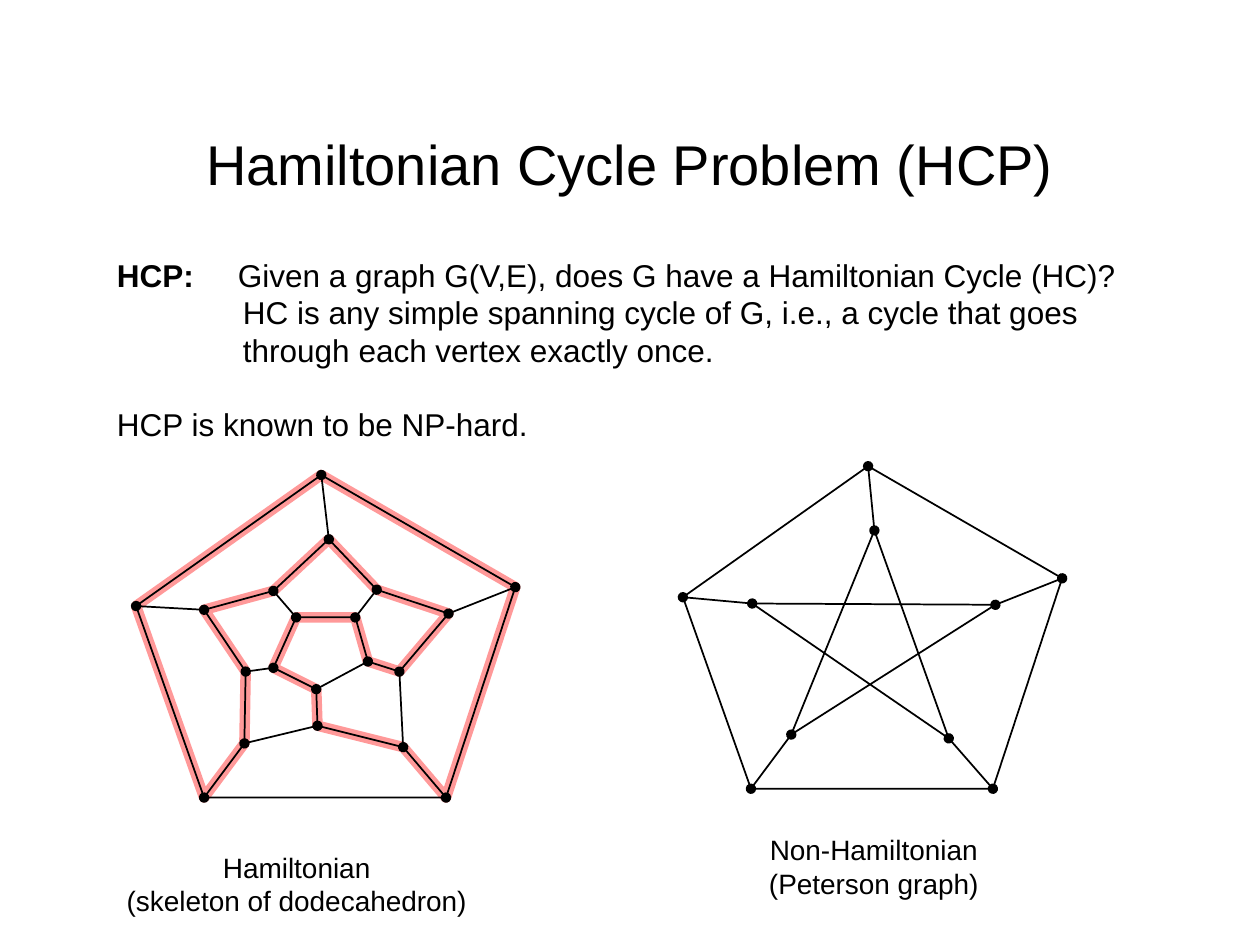
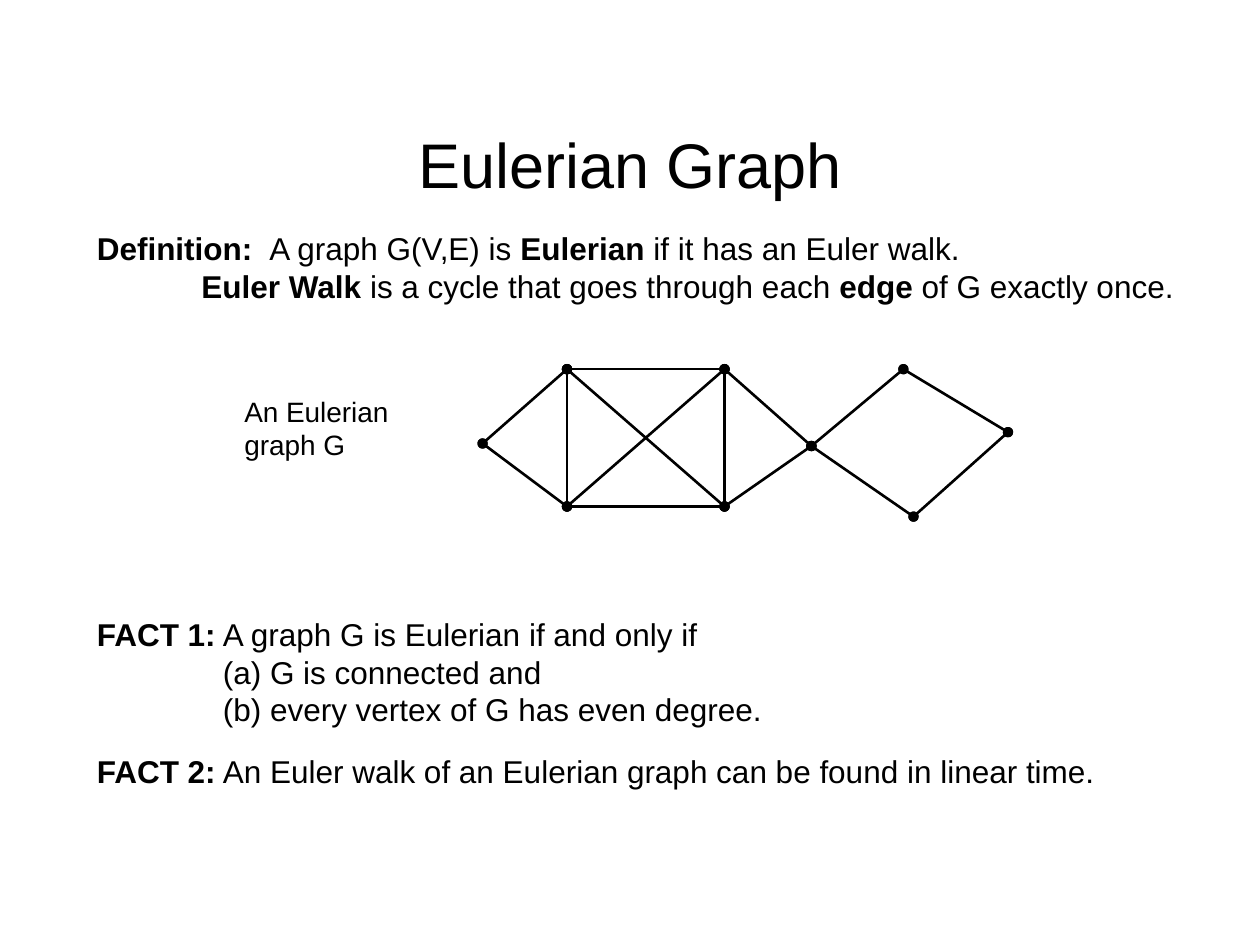
from lxml.etree import SubElement
from pptx import Presentation
from pptx.dml.color import RGBColor
from pptx.enum.shapes import MSO_CONNECTOR as Connector
from pptx.enum.text import MSO_ANCHOR as Anchor, MSO_AUTO_SIZE as AutoSize, PP_ALIGN as Align
from pptx.oxml.ns import qn
from pptx.util import Pt

PX = 9144  # EMU in one px, 100 px to the inch
SLIDE_SIZE = (1000, 750)
BLACK = RGBColor(0x00, 0x00, 0x00)
PINK = RGBColor(0xFF, 0x99, 0x99)
FONT = "Arial"
TITLE_BOX = (75, 67, 850, 125)
BODY_SIZE, CAPTION_SIZE = 18, 16
BLANK_LINE = 20.7

# Paragraphs are (text, left margin, first-line indent, points before); **bold**.
HCP_TEXT = [
    ("**HCP:**\tGiven a graph G(V,E), does G have a Hamiltonian Cycle (HC)?", 96, -96, 0),
    ("HC is any simple spanning cycle of G, i.e., a cycle that goes", 100, 0, 0),
    ("through each vertex exactly once.", 100, 0, 0),
    ("HCP is known to be NP-hard.", 0, 0, BLANK_LINE),
]
DEFINITION = [
    ("**Definition:**\tA graph G(V,E) is **Eulerian** if it has an Euler walk.", 137, -137, 0),
    ("**Euler Walk** is a cycle that goes through each **edge** of G exactly once.", 83, 0, 0),
]
FACT_1 = [
    ("**FACT 1:** A graph G is Eulerian if and only if", 0, 0, 0),
    ("(a) G is connected and", 100, 0, 0),
    ("(b) every vertex of G has even degree.", 100, 0, 0),
]
FACT_2 = [("**FACT 2:** An Euler walk of an Eulerian graph can be found in linear time.", 0, 0, 0)]

# Vertices run clockwise from the top.
OUTER = [(255, 377), (409, 466), (354, 633), (162, 633), (108, 481)]
RING = [(261, 428), (299, 468), (356, 487), (317, 533), (320, 593),
        (252, 576), (194, 590), (195, 533), (162, 484), (217, 469)]
CORE = [(282, 490), (292, 525), (251, 547), (217, 530), (235, 490)]
HAMILTONIAN_CYCLE = [
    (OUTER, (4, 0, 1, 2)), (RING, (4, 5)), (CORE, (2, 3, 4, 0, 1)),
    (RING, (3, 2, 1, 0, 9, 8, 7, 6)), (OUTER, (3,)),
]
PETERSON_SHIFT = (434, -7)
STAR = [(694, 421), (790, 480), (753, 586), (628, 583), (597, 479)]

EULER_VERTICES = {
    "west": (383, 352), "top left": (450, 293), "top right": (575, 293),
    "bottom left": (450, 402), "bottom right": (575, 402), "hub": (644, 354),
    "north": (717, 293), "east": (800, 343), "south": (725, 410),
}
EULER_WALK = ["west", "top left", "top right", "hub", "north", "east", "south", "hub",
              "bottom right", "top right", "bottom left", "top left",
              "bottom right", "bottom left", "west"]


def emu(*lengths):
    return [round(length * PX) for length in lengths]


def set_values(target, **values):
    for name, value in values.items():
        setattr(target, name, value)


def set_font(font, size, bold=False):
    set_values(font, name=FONT, size=Pt(size), bold=bold)
    font.color.rgb = BLACK


def add_titled_slide(presentation, title, size):
    slide = presentation.slides.add_slide(presentation.slide_layouts[5])
    shape = slide.shapes.title
    set_values(shape, **dict(zip(("left", "top", "width", "height"), emu(*TITLE_BOX))))
    frame = shape.text_frame
    set_values(frame, text=title, vertical_anchor=Anchor.MIDDLE, auto_size=AutoSize.NONE)
    paragraph = frame.paragraphs[0]
    paragraph.alignment = Align.CENTER
    set_font(paragraph.runs[0].font, size)
    return slide


def add_text(slide, box, paragraphs, size=BODY_SIZE, align=Align.LEFT, wrap=True):
    frame = slide.shapes.add_textbox(*emu(*box)).text_frame
    set_values(frame, word_wrap=wrap, auto_size=AutoSize.SHAPE_TO_FIT_TEXT)
    for index, (text, margin, indent, before) in enumerate(paragraphs):
        paragraph = frame.add_paragraph() if index else frame.paragraphs[0]
        set_values(paragraph, alignment=align, space_before=Pt(before))
        properties = paragraph._p.get_or_add_pPr()
        for name, length in (("marL", margin), ("indent", indent)):
            properties.set(name, str(length * PX))
        for part, words in enumerate(text.split("**")):
            if words:
                run = paragraph.add_run()
                run.text = words
                set_font(run.font, size, bold=part % 2 == 1)


def add_caption(slide, box, lines, align=Align.CENTER):
    add_text(slide, box, [(line, 0, 0, 0) for line in lines], CAPTION_SIZE, align, wrap=False)


def set_line(line, color, width):
    line.color.rgb = color
    line.width = Pt(width)


def add_cycle(slide, points, color=BLACK, width=1):
    """Draw a closed, unfilled outline through the points."""
    builder = slide.shapes.build_freeform(*points[0], scale=PX)
    builder.add_line_segments(points[1:], close=True)
    shape = builder.convert_to_shape()
    shape.shadow.inherit = False
    shape.fill.background()
    set_line(shape.line, color, width)


def add_edges(slide, edges, width=1):
    """Draw each edge with a round vertex at both ends."""
    for start, end in edges:
        edge = slide.shapes.add_connector(Connector.STRAIGHT, *emu(*start, *end))
        set_line(edge.line, BLACK, width)
        line = edge.line._get_or_add_ln()
        for tag in ("a:headEnd", "a:tailEnd"):
            SubElement(line, qn(tag), type="oval")
        SubElement(edge._element.spPr, qn("a:effectLst"))


def build_hamiltonian_slide(presentation):
    slide = add_titled_slide(presentation, "Hamiltonian Cycle Problem (HCP)", 32)
    add_text(slide, (83, 198, 815, 160), HCP_TEXT)

    highlight = [vertices[i] for vertices, order in HAMILTONIAN_CYCLE for i in order]
    add_cycle(slide, highlight, PINK, 6)
    for cycle in (CORE, RING, OUTER):
        add_cycle(slide, cycle)
    add_edges(slide, [*zip(OUTER, RING[::2]), *zip(CORE, RING[1::2])])
    add_caption(slide, (90, 670, 291, 64), ["Hamiltonian", "(skeleton of dodecahedron)"])

    shift_x, shift_y = PETERSON_SHIFT
    pentagon = [(x + shift_x, y + shift_y) for x, y in OUTER]
    add_cycle(slide, pentagon)
    add_cycle(slide, [STAR[2 * i % 5] for i in range(5)])
    add_edges(slide, zip(pentagon, STAR))
    add_caption(slide, (600, 656, 187, 64), ["Non-Hamiltonian", "(Peterson graph)"])


def build_eulerian_slide(presentation):
    slide = add_titled_slide(presentation, "Eulerian Graph", 36)
    add_text(slide, (67, 177, 892, 70), DEFINITION)
    walk = [EULER_VERTICES[name] for name in EULER_WALK]
    add_edges(slide, zip(walk, walk[1:]), width=1.5)
    add_caption(slide, (184, 308, 135, 64), ["An Eulerian", "graph G"], Align.LEFT)
    add_text(slide, (67, 483, 858, 100), FACT_1)
    add_text(slide, (67, 592, 815, 40), FACT_2)


def main():
    presentation = Presentation()
    presentation.slide_width, presentation.slide_height = emu(*SLIDE_SIZE)
    build_hamiltonian_slide(presentation)
    build_eulerian_slide(presentation)
    presentation.save("out.pptx")


if __name__ == "__main__":
    main()
